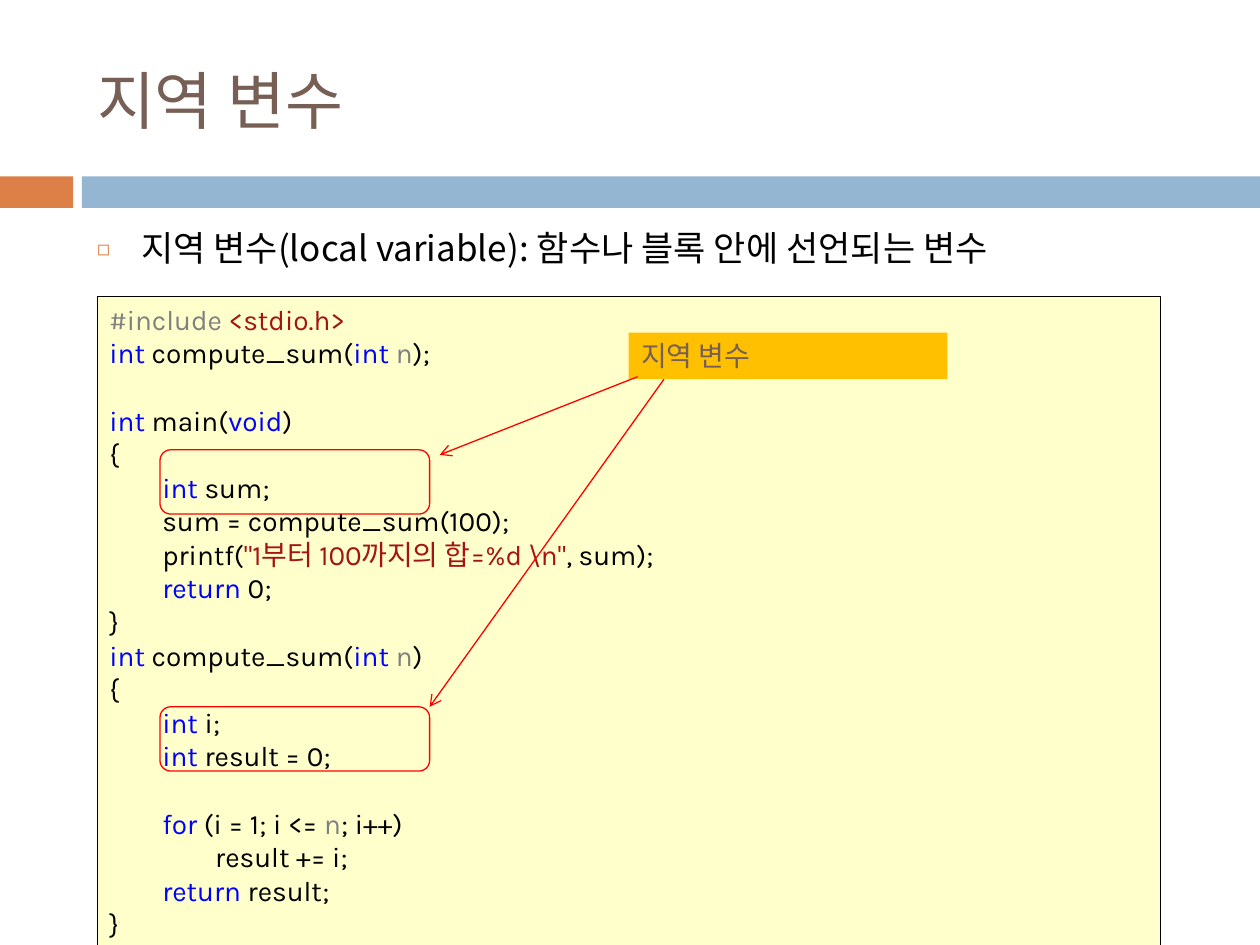
from dataclasses import dataclass

from lxml.etree import SubElement
from pptx import Presentation
from pptx.dml.color import RGBColor
from pptx.enum.shapes import MSO_CONNECTOR, MSO_SHAPE
from pptx.enum.text import MSO_ANCHOR, PP_ALIGN
from pptx.oxml.ns import qn
from pptx.util import Inches, Pt

COLUMNS, ROWS = 100, 75
CELL = Inches(10) / COLUMNS


@dataclass(frozen=True)
class Theme:
    title: str = "775F55"
    accent: str = "DD8047"
    band: str = "94B6D2"
    panel: str = "FFFFCC"
    label: str = "FFC000"
    mark: str = "FF0000"
    plain: str = "000000"
    keyword: str = "0000FF"
    literal: str = "A31515"
    muted: str = "808080"
    title_font: str = "Calibri"
    body_font: str = "Noto Sans CJK KR"
    code_font: str = "Karla"
    label_font: str = "Arial"
    title_size: int = 36
    body_size: int = 20
    code_size: int = 16
    code_indent: float = 0.42
    code_pitch: float = 19.2


@dataclass(frozen=True)
class Box:
    col: float
    row: float
    cols: float
    rows: float

    def inner(self, col, row, cols, rows):
        return Box(self.col + col, self.row + row, cols, rows)

    def point(self, col, row):
        return round((self.col + col) * CELL), round((self.row + row) * CELL)

    def frame(self):
        return (*self.point(0, 0), round(self.cols * CELL), round(self.rows * CELL))


THEME = Theme()
PLAIN, KEYWORD, LITERAL, MUTED = THEME.plain, THEME.keyword, THEME.literal, THEME.muted

# Each line: indent level, blank lines before it, coloured runs.
CODE = [
    (0, 0, [("#include ", MUTED), ("<stdio.h>", LITERAL)]),
    (0, 0, [("int ", KEYWORD), ("compute_sum(", PLAIN), ("int ", KEYWORD),
            ("n", MUTED), (");", PLAIN)]),
    (0, 1, [("int", KEYWORD), (" main(", PLAIN), ("void", KEYWORD), (")", PLAIN)]),
    (0, 0, [("{", PLAIN)]),
    (1, 0, [("int", KEYWORD), (" sum;", PLAIN)]),
    (1, 0, [("sum = compute_sum(100);", PLAIN)]),
    (1, 0, [("printf(", PLAIN), ('"1부터 100까지의 합=%d \\n"', LITERAL), (", sum);", PLAIN)]),
    (1, 0, [("return", KEYWORD), (" 0;", PLAIN)]),
    (0, 0, [("}", PLAIN)]),
    (0, 0, [("int ", KEYWORD), ("compute_sum(", PLAIN), ("int ", KEYWORD),
            ("n", MUTED), (")", PLAIN)]),
    (0, 0, [("{", PLAIN)]),
    (1, 0, [("int ", KEYWORD), ("i;", PLAIN)]),
    (1, 0, [("int", KEYWORD), (" result = 0;", PLAIN)]),
    (1, 1, [("for", KEYWORD), (" (i = 1; i <= ", PLAIN), ("n", MUTED), ("; i++)", PLAIN)]),
    (2, 0, [("result += i;", PLAIN)]),
    (1, 0, [("return", KEYWORD), (" result;", PLAIN)]),
    (0, 0, [("}", PLAIN)]),
]


def add_run(paragraph, text, font, size, color):
    run = paragraph.add_run()
    run.text = text
    run.font.name = font
    run.font.size = Pt(size)
    run.font.color.rgb = RGBColor.from_string(color)
    SubElement(run.font._element, qn("a:ea"), typeface=THEME.body_font)


def add_block(slide, box, kind=MSO_SHAPE.RECTANGLE, fill=None, line=None, width=0.75):
    block = slide.shapes.add_shape(kind, *box.frame())
    block.shadow.inherit = False
    if fill:
        block.fill.solid()
        block.fill.fore_color.rgb = RGBColor.from_string(fill)
    else:
        block.fill.background()
    if line:
        block.line.color.rgb = RGBColor.from_string(line)
        block.line.width = Pt(width)
    else:
        block.line.fill.background()
    return block


def add_arrow(slide, start, end):
    arrow = slide.shapes.add_connector(MSO_CONNECTOR.STRAIGHT, *start, *end)
    arrow.line.color.rgb = RGBColor.from_string(THEME.mark)
    arrow.line.width = Pt(0.75)
    SubElement(arrow.line._get_or_add_ln(), qn("a:tailEnd"), type="arrow")
    SubElement(arrow._element.spPr, qn("a:effectLst"))


def place(placeholder, box, anchor):
    placeholder.left, placeholder.top, placeholder.width, placeholder.height = box.frame()
    placeholder.text_frame.vertical_anchor = anchor
    return placeholder.text_frame.paragraphs[0]


def build_header(slide, box):
    add_block(slide, box.inner(0, 14, 5.8, 2.5), fill=THEME.accent)
    add_block(slide, box.inner(6.5, 14, 93.5, 2.5), fill=THEME.band)
    heading = place(slide.shapes.title, box.inner(6.7, 2.5, 89.2, 10.8), MSO_ANCHOR.MIDDLE)
    heading.alignment = PP_ALIGN.LEFT
    add_run(heading, "지역 변수", THEME.title_font, THEME.title_size, THEME.title)


def build_definition(slide, box):
    definition = place(slide.placeholders[1], box, MSO_ANCHOR.TOP)
    definition.space_before = Pt(7)
    properties = definition._p.get_or_add_pPr()
    properties.set("marL", str(Inches(0.35)))
    properties.set("indent", str(-Inches(0.35)))
    bullet_color = SubElement(properties, qn("a:buClr"))
    SubElement(bullet_color, qn("a:srgbClr"), val=THEME.accent)
    SubElement(properties, qn("a:buSzPct"), val="60000")
    SubElement(properties, qn("a:buFont"), typeface=THEME.body_font)
    SubElement(properties, qn("a:buChar"), char="◻")
    add_run(definition, "지역 변수(local variable): 함수나 블록 안에 선언되는 변수",
            THEME.body_font, THEME.body_size, THEME.plain)


def build_code(slide, box):
    listing = add_block(slide, box, fill=THEME.panel, line=THEME.plain, width=0.25).text_frame
    listing.word_wrap = True
    listing.vertical_anchor = MSO_ANCHOR.TOP
    for number, (level, gap, runs) in enumerate(CODE):
        line = listing.add_paragraph() if number else listing.paragraphs[0]
        line.alignment = PP_ALIGN.LEFT
        line.space_before = Pt(gap * THEME.code_pitch)
        line._p.get_or_add_pPr().set("marL", str(Inches(level * THEME.code_indent)))
        for text, color in runs:
            add_run(line, text, THEME.code_font, THEME.code_size, color)


def build_callouts(slide, box):
    label = add_block(slide, box.inner(42.2, 2.9, 25.3, 3.7), fill=THEME.label).text_frame
    label.word_wrap = True
    label.vertical_anchor = MSO_ANCHOR.TOP
    caption = label.paragraphs[0]
    caption.alignment = PP_ALIGN.LEFT
    add_run(caption, "지역 변수", THEME.label_font, THEME.code_size, THEME.title)
    callouts = [
        (12.2, (42.9, 6.4), (27.2, 12.6)),
        (32.6, (45, 6.6), (26.4, 32.6)),
    ]
    for row, start, end in callouts:
        add_block(slide, box.inner(5, row, 21.4, 5.1), MSO_SHAPE.ROUNDED_RECTANGLE,
                  line=THEME.mark)
        add_arrow(slide, box.point(*start), box.point(*end))


def main():
    deck = Presentation()
    deck.slide_width, deck.slide_height = round(COLUMNS * CELL), round(ROWS * CELL)
    slide = deck.slides.add_slide(deck.slide_layouts[1])
    page = Box(0, 0, COLUMNS, ROWS)
    code_area = page.inner(7.7, 23.5, 84.4, 51.5)
    build_header(slide, page)
    build_definition(slide, page.inner(6.7, 17.5, 89.2, 49.2))
    build_code(slide, code_area)
    build_callouts(slide, code_area)
    deck.save("out.pptx")


if __name__ == "__main__":
    main()
